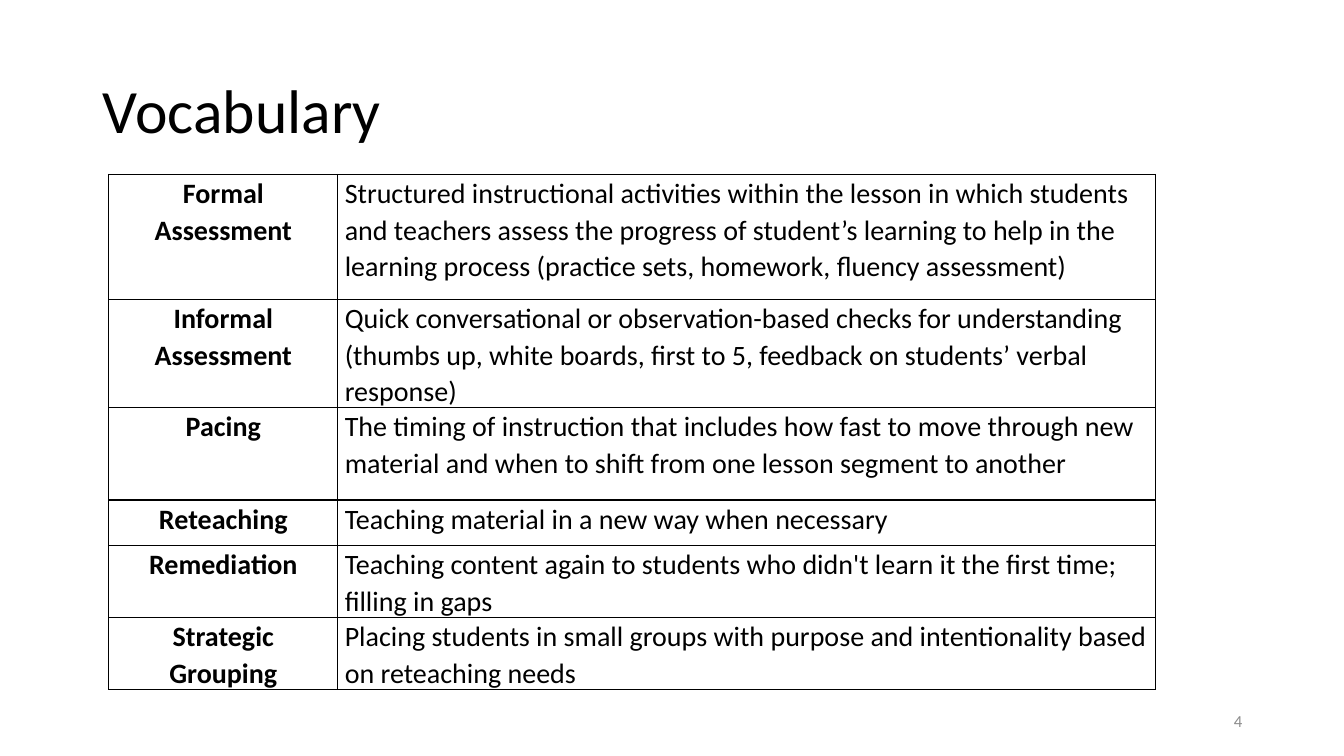
import pptx
import pptx.util
import pptx.dml.color
import pptx.enum.text
import pptx.oxml
import pptx.oxml.ns

TITLE = "Vocabulary"
SLIDE_NUMBER = "4"
VOCABULARY = [
    ("Formal Assessment", "Structured instructional activities within the lesson in which students and teachers assess the progress of student’s learning to help in the learning process (practice sets, homework, fluency assessment)"),
    ("Informal Assessment", "Quick conversational or observation-based checks for understanding (thumbs up, white boards, first to 5, feedback on students’ verbal response)"),
    ("Pacing", "The timing of instruction that includes how fast to move through new material and when to shift from one lesson segment to another"),
    ("Reteaching", "Teaching material in a new way when necessary"),
    ("Remediation", "Teaching content again to students who didn't learn it the first time; filling in gaps"),
    ("Strategic Grouping", "Placing students in small groups with purpose and intentionality based on reteaching needs"),
]
COLUMN_WIDTHS = [2.27, 8.11]
ROW_HEIGHTS = [1.24, 0.92, 0.92, 0.45, 0.61, 0.61]
COLORS = {"text": "000000", "border": "000000", "number": "8C8C8C"}

Inches = pptx.util.Inches
Pt = pptx.util.Pt
ALIGN = pptx.enum.text.PP_ALIGN
MIDDLE = pptx.enum.text.MSO_ANCHOR.MIDDLE


def apply(target, values):
    for name, value in values.items():
        setattr(target, name, value)


def write(frame, text, size, color, bold, paragraph_format):
    paragraph = frame.paragraphs[0]
    paragraph.text = text
    apply(paragraph, paragraph_format)
    font = paragraph.runs[0].font
    apply(font, {"name": "Calibri", "size": Pt(size), "bold": bold})
    font.color.rgb = pptx.dml.color.RGBColor.from_string(COLORS[color])


def add_borders(cell):
    properties = cell._tc.get_or_add_tcPr()
    for side in ("lnL", "lnR", "lnT", "lnB"):
        properties.append(pptx.oxml.parse_xml(
            f'<a:{side} {pptx.oxml.ns.nsdecls("a")} w="{Pt(1)}"><a:solidFill>'
            f'<a:srgbClr val="{COLORS["border"]}"/></a:solidFill></a:{side}>'))


def add_vocabulary_table(slide):
    table = slide.shapes.add_table(
        len(VOCABULARY), len(COLUMN_WIDTHS), Inches(1.08), Inches(1.73),
        Inches(sum(COLUMN_WIDTHS)), Inches(sum(ROW_HEIGHTS))).table
    apply(table, {"first_row": False, "horz_banding": False})
    for column, width in zip(table.columns, COLUMN_WIDTHS):
        column.width = Inches(width)
    for row, height, entry in zip(table.rows, ROW_HEIGHTS, VOCABULARY):
        row.height = Inches(height)
        for index, (cell, text) in enumerate(zip(row.cells, entry)):
            is_term = index == 0
            apply(cell, {"margin_left": Inches(0.07), "margin_right": Inches(0.07),
                         "margin_top": 0, "margin_bottom": 0})
            add_borders(cell)
            cell.fill.background()
            write(cell.text_frame, text, 20, "text", is_term, {
                "alignment": ALIGN.CENTER if is_term else ALIGN.LEFT,
                "line_spacing": 1.07, "space_after": Pt(6)})


def main():
    presentation = pptx.Presentation()
    apply(presentation, {"slide_width": Inches(13.33), "slide_height": Inches(7.5)})
    slide = presentation.slides.add_slide(presentation.slide_layouts[5])

    title = slide.shapes.title
    apply(title, {"left": Inches(0.92), "top": Inches(0.4),
                  "width": Inches(11.5), "height": Inches(1.45)})
    title.text_frame.vertical_anchor = MIDDLE
    write(title.text_frame, TITLE, 44, "text", False,
          {"alignment": ALIGN.LEFT, "line_spacing": 0.9})

    number = slide.shapes.add_textbox(Inches(9.42), Inches(6.95), Inches(3), Inches(0.4))
    apply(number.text_frame, {"word_wrap": True, "vertical_anchor": MIDDLE})
    write(number.text_frame, SLIDE_NUMBER, 12, "number", False, {"alignment": ALIGN.RIGHT})

    add_vocabulary_table(slide)
    presentation.save("out.pptx")


if __name__ == "__main__":
    main()
